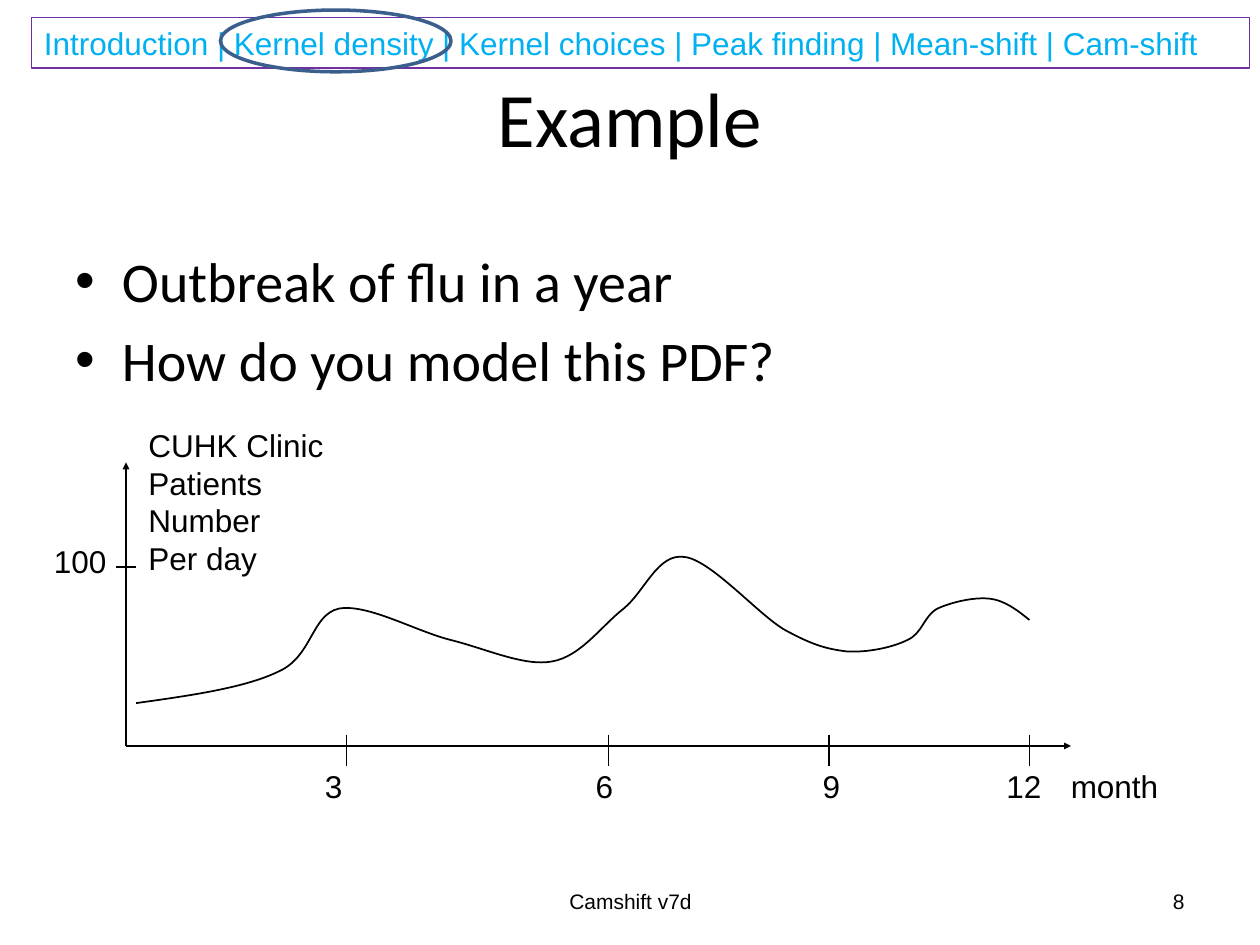
from pptx import Presentation
from pptx.util import Inches, Pt
from pptx.dml.color import RGBColor as Rgb
from pptx.enum.shapes import MSO_SHAPE as Kind, MSO_CONNECTOR as Conn
from pptx.enum.text import PP_ALIGN as Align, MSO_ANCHOR as Anchor, MSO_AUTO_SIZE as Auto
from pptx.oxml.ns import qn
from lxml.etree import SubElement as Sub

THEME = {
    "ink": "000000", "nav": "00B0F0", "frame": "7030A0", "ring": "3A5F8C",
    "sans": "Arial", "head": "Calibri",
    "title": 44, "body": 32, "label": 18, "foot": 12, "gap": 6.4,
}
NAV = ["Introduction", "Kernel density", "Kernel choices", "Peak finding", "Mean-shift", "Cam-shift"]
TITLE = "Example"
BULLETS = ["Outbreak of flu in a year", "How do you model this PDF?"]
Y_NAME = ["CUHK Clinic", "Patients", "Number", "Per day"]
FOOT, PAGE = "Camshift v7d", "8"
ORIGIN, X_END, Y_END = (1, 5.92), (8.5, 5.92), (1, 3.67)
MONTHS = ["3", "6", "9", "12"]
TICKS = [2.75, 4.83, 6.58, 8.17]
TABS = [2.15, 3.95, 5.41]
START = (1.08, 5.58)
CURVES = [
    [(1.51, 5.52), (1.94, 5.46), (2.21, 5.33)],
    [(2.48, 5.21), (2.47, 4.88), (2.69, 4.83)],
    [(2.92, 4.79), (3.3, 5.01), (3.58, 5.08)],
    [(3.86, 5.15), (4.16, 5.29), (4.38, 5.25)],
    [(4.61, 5.21), (4.77, 4.97), (4.95, 4.83)],
    [(5.12, 4.69), (5.22, 4.39), (5.43, 4.42)],
    [(5.64, 4.44), (6.02, 4.88), (6.23, 5)],
    [(6.45, 5.12), (6.56, 5.15), (6.72, 5.17)],
    [(6.88, 5.18), (7.08, 5.14), (7.2, 5.08)],
    [(7.32, 5.03), (7.33, 4.89), (7.44, 4.83)],
    [(7.55, 4.78), (7.72, 4.74), (7.84, 4.75)],
    [(7.97, 4.76), (8.07, 4.84), (8.17, 4.92)],
]


def write(frame, lines, size, font="sans", color="ink", align=Align.LEFT):
    for i, line in enumerate(lines):
        para = frame.paragraphs[0] if i == 0 else frame.add_paragraph()
        para.text, para.alignment = line, align
        para.font.size = Pt(THEME[size])
        para.font.name = THEME[font]
        para.font.color.rgb = Rgb.from_string(THEME[color])


def text(slide, box, lines, size, font="sans", align=Align.LEFT, anchor=Anchor.TOP):
    frame = slide.shapes.add_textbox(*map(Inches, box)).text_frame
    frame.word_wrap, frame.vertical_anchor = True, anchor
    write(frame, lines, size, font, align=align)
    return frame


def label(slide, box, lines):
    frame = text(slide, box, lines, "label")
    frame.word_wrap, frame.auto_size = False, Auto.SHAPE_TO_FIT_TEXT
    return frame


def outline(shape, color, width):
    shape.shadow.inherit = False
    shape.fill.background()
    shape.line.color.rgb = Rgb.from_string(THEME[color])
    shape.line.width = Pt(width)


def line(slide, start, end, arrow=False):
    conn = slide.shapes.add_connector(Conn.STRAIGHT, *map(Inches, start + end))
    conn.line.color.rgb = Rgb.from_string(THEME["ink"])
    conn.line.width = Pt(1)
    if arrow:
        Sub(conn.line._get_or_add_ln(), qn("a:tailEnd"), type="triangle", w="sm", len="sm")
    Sub(conn._element.spPr, qn("a:effectLst"))


def bullet(para):
    props = para._p.get_or_add_pPr()
    props.set("marL", str(Inches(0.37)))
    props.set("indent", str(-Inches(0.37)))
    para.space_before = Pt(THEME["gap"])
    Sub(props, qn("a:buFont"), typeface=THEME["sans"])
    Sub(props, qn("a:buChar"), char="•")


def curve(slide):
    pen = slide.shapes.build_freeform(*map(Inches, START))
    dots = [tuple(map(Inches, dot)) for part in CURVES for dot in part]
    pen.add_line_segments(dots, close=False)
    shape = pen.convert_to_shape()
    route = next(shape._element.iter(qn("a:path")))
    legs = route.findall(qn("a:lnTo"))
    for i in range(0, len(legs), 3):
        bend = Sub(route, qn("a:cubicBezTo"))
        for leg in legs[i:i + 3]:
            bend.append(leg[0])
            route.remove(leg)
    outline(shape, "ink", 1)


def header(slide):
    bar = slide.shapes.add_shape(Kind.RECTANGLE, *map(Inches, (0.25, 0.14, 9.67, 0.4)))
    outline(bar, "frame", 0.75)
    write(bar.text_frame, [" | ".join(NAV)], "label", color="nav")
    text(slide, (0.5, 0.3, 9, 1.25), [TITLE], "title", "head", Align.CENTER, Anchor.MIDDLE)
    body = text(slide, (0.5, 1.91, 9, 4.82), BULLETS, "body", "head")
    for para in body.paragraphs:
        bullet(para)


def plot(slide):
    line(slide, ORIGIN, X_END, True)
    line(slide, ORIGIN, Y_END, True)
    label(slide, (8.4, 6.04, 0.9, 0.4), ["month"])
    for x in TICKS:
        line(slide, (x, 5.83), (x, 6.08))
    label(slide, (1.08, 3.33, 1.59, 1.3), Y_NAME)
    row = label(slide, (2.48, 6.04, 5.9, 0.4), ["\t".join(MONTHS)])
    row.word_wrap = True
    stops = Sub(row.paragraphs[0]._p.get_or_add_pPr(), qn("a:tabLst"))
    for x in TABS:
        Sub(stops, qn("a:tab"), pos=str(Inches(x)), algn="l")
    curve(slide)
    line(slide, (0.92, 4.5), (1.08, 4.5))
    label(slide, (0.33, 4.25, 0.62, 0.4), ["100"])


def main():
    """Build the flu outbreak example slide."""
    deck = Presentation()
    deck.slide_width, deck.slide_height = Inches(10), Inches(7.5)
    slide = deck.slides.add_slide(deck.slide_layouts[6])
    header(slide)
    text(slide, (3.42, 6.95, 3.17, 0.4), [FOOT], "foot", align=Align.CENTER, anchor=Anchor.MIDDLE)
    text(slide, (7.17, 6.95, 2.33, 0.4), [PAGE], "foot", align=Align.RIGHT, anchor=Anchor.MIDDLE)
    plot(slide)
    ring = slide.shapes.add_shape(Kind.OVAL, *map(Inches, (1.75, 0.08, 1.83, 0.49)))
    outline(ring, "ring", 2)
    deck.save("out.pptx")


if __name__ == "__main__":
    main()
